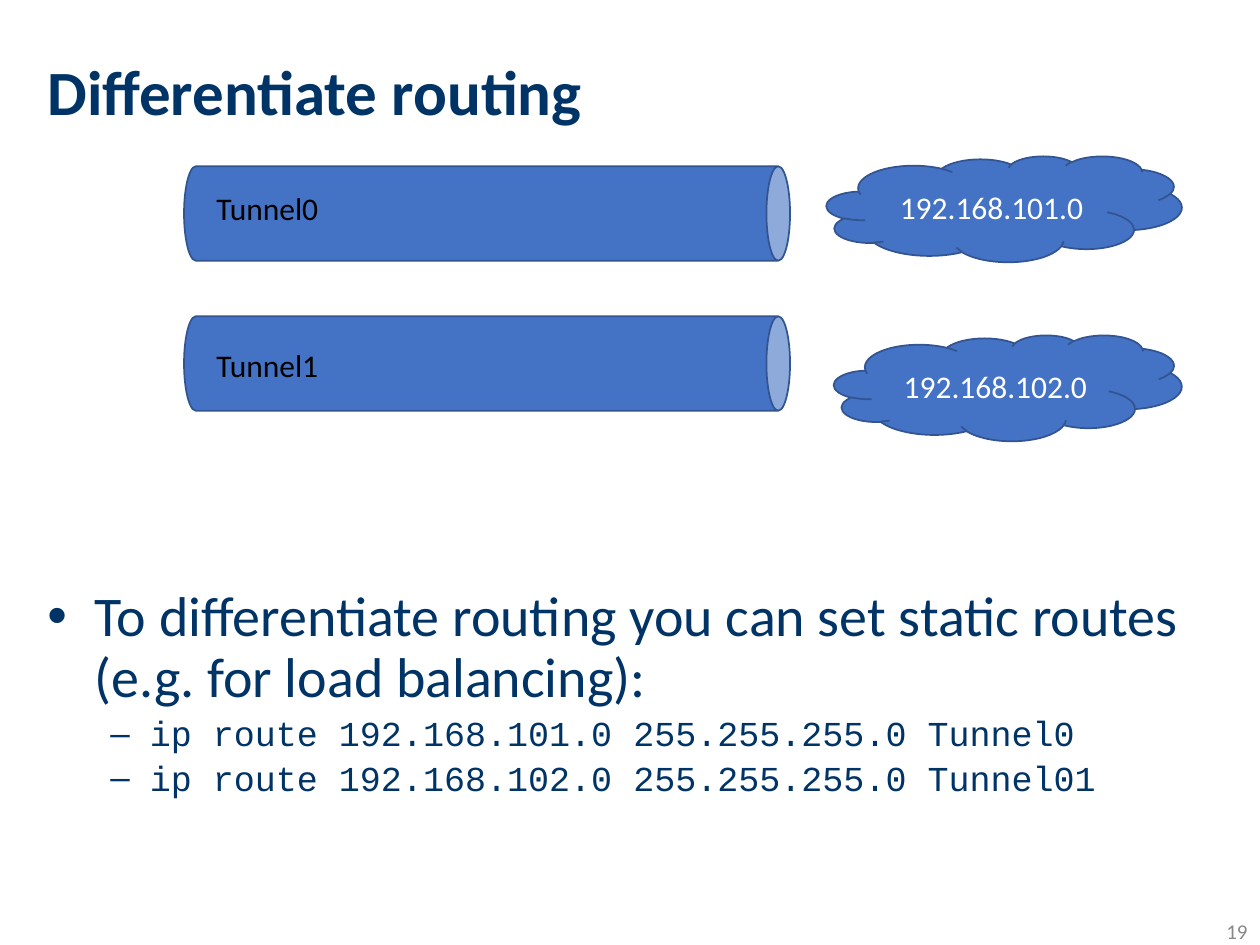
from dataclasses import dataclass

from lxml import etree
from pptx import Presentation
from pptx import util as u
from pptx.dml.color import RGBColor
from pptx.enum import shapes, text
from pptx.oxml import ns

COLOURS = {
    "navy": "003366",
    "blue": "4472C4",
    "outline": "325491",
    "white": "FFFFFF",
    "black": "000000",
    "grey": "888888",
}


@dataclass
class Area:
    left: float
    top: float
    width: float
    height: float

    def lengths(self) -> list:
        return [u.Pt(n) for n in (self.left, self.top, self.width, self.height)]


@dataclass
class Style:
    size: float
    colour: str
    name: str = "Calibri"
    bold: bool = False


@dataclass
class Bullet:
    mark: str
    level: int
    margin: float
    hanging: float
    before: float


@dataclass
class Line:
    words: str
    style: Style
    bullet: Bullet | None = None


@dataclass
class Tunnel:
    label: str
    middle: float
    label_top: float


@dataclass
class Network:
    address: str
    area: Area


def colour(key: str) -> RGBColor:
    return RGBColor.from_string(COLOURS[key])


def set_values(target, values: dict) -> None:
    for name, value in values.items():
        setattr(target, name, value)


def add_bullet(para, bullet: Bullet) -> None:
    para.level = bullet.level
    props = para._p.get_or_add_pPr()
    props.set("marL", str(u.Pt(bullet.margin)))
    props.set("indent", str(-u.Pt(bullet.hanging)))
    tint = etree.SubElement(props, ns.qn("a:buClr"))
    etree.SubElement(tint, ns.qn("a:srgbClr"), val=COLOURS["navy"])
    etree.SubElement(props, ns.qn("a:buFont"), typeface="Arial")
    etree.SubElement(props, ns.qn("a:buChar"), char=bullet.mark)
    if bullet.before:
        para.space_before = u.Pt(bullet.before)


def write(frame, lines: list[Line], frame_format: dict, para_format: dict) -> None:
    set_values(frame, {"word_wrap": True, **frame_format})
    for index, line in enumerate(lines):
        para = frame.add_paragraph() if index else frame.paragraphs[0]
        if line.bullet:
            add_bullet(para, line.bullet)
        set_values(para, para_format)
        span = para.add_run()
        span.text = line.words
        style = line.style
        set_values(span.font, {"size": u.Pt(style.size), "name": style.name,
                               "bold": style.bold})
        span.font.color.rgb = colour(style.colour)


def add_text(page, area: Area, lines: list[Line], frame_format: dict,
             para_format: dict) -> None:
    box = page.shapes.add_textbox(*area.lengths())
    write(box.text_frame, lines, frame_format, para_format)


def add_solid(page, kind, area: Area):
    solid = page.shapes.add_shape(kind, *area.lengths())
    solid.shadow.inherit = False
    solid.fill.solid()
    solid.fill.fore_color.rgb = colour("blue")
    solid.line.color.rgb = colour("outline")
    solid.line.width = u.Pt(1)
    return solid


def add_tunnel(page, tunnel: Tunnel) -> None:
    centre, thickness, length = 278.3, 54, 346.3
    area = Area(centre - thickness / 2, tunnel.middle - length / 2, thickness, length)
    add_solid(page, shapes.MSO_SHAPE.CAN, area).rotation = 90


def add_tunnel_label(page, tunnel: Tunnel) -> None:
    add_text(page, Area(116.6, tunnel.label_top, 85.7, 29),
             [Line(tunnel.label, Style(18, "black"))],
             {"auto_size": text.MSO_AUTO_SIZE.SHAPE_TO_FIT_TEXT}, {})


def add_network(page, network: Network) -> None:
    cloud = add_solid(page, shapes.MSO_SHAPE.CLOUD, network.area)
    write(cloud.text_frame, [Line(network.address, Style(18, "white"))],
          {"vertical_anchor": text.MSO_ANCHOR.MIDDLE},
          {"alignment": text.PP_ALIGN.CENTER})


def main() -> None:
    deck = Presentation()
    set_values(deck, {"slide_width": u.Pt(720), "slide_height": u.Pt(540)})
    page = deck.slides.add_slide(deck.slide_layouts[6])

    # Explanation with the route commands
    point = Bullet("•", 0, 27, 27, 0)
    command = Bullet("–", 1, 58.5, 22.5, 4)
    code = Style(20, "navy", "Courier New")
    body = [
        Line("To differentiate routing you can set static routes "
             "(e.g. for load balancing):", Style(32, "navy"), point),
        Line("ip route 192.168.101.0 255.255.255.0 Tunnel0", code, command),
        Line("ip route 192.168.102.0 255.255.255.0 Tunnel01", code, command),
    ]
    add_text(page, Area(20, 332.6, 664, 181.4), body, {}, {"line_spacing": 0.9})

    # Title
    add_text(page, Area(20, 9.4, 590, 67.7),
             [Line("Differentiate routing", Style(36, "navy", bold=True))],
             {"vertical_anchor": text.MSO_ANCHOR.BOTTOM}, {"line_spacing": 0.9})

    # Page number
    add_text(page, Area(656.6, 524.2, 63.4, 15.8), [Line("19", Style(12, "grey"))],
             {"vertical_anchor": text.MSO_ANCHOR.MIDDLE},
             {"alignment": text.PP_ALIGN.RIGHT})

    # Tunnels, the networks they reach, and the tunnel labels
    tunnels = [Tunnel("Tunnel0", 122, 104.4), Tunnel("Tunnel1", 207.7, 194.4)]
    networks = [
        Network("192.168.101.0", Area(472.3, 89.2, 203, 60.5)),
        Network("192.168.102.0", Area(476.6, 191.5, 198.7, 60.5)),
    ]
    for tunnel in tunnels:
        add_tunnel(page, tunnel)
    for network in networks:
        add_network(page, network)
    for tunnel in tunnels:
        add_tunnel_label(page, tunnel)

    deck.save("out.pptx")


if __name__ == "__main__":
    main()
